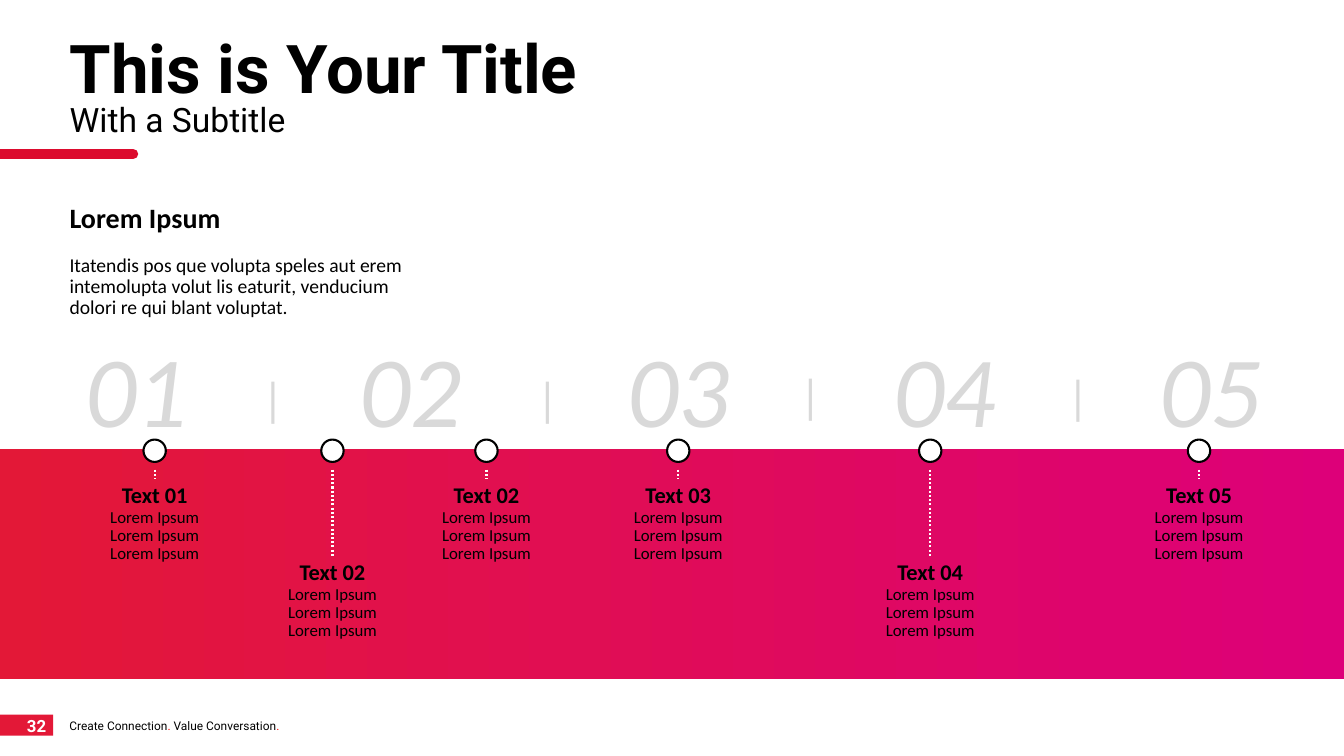
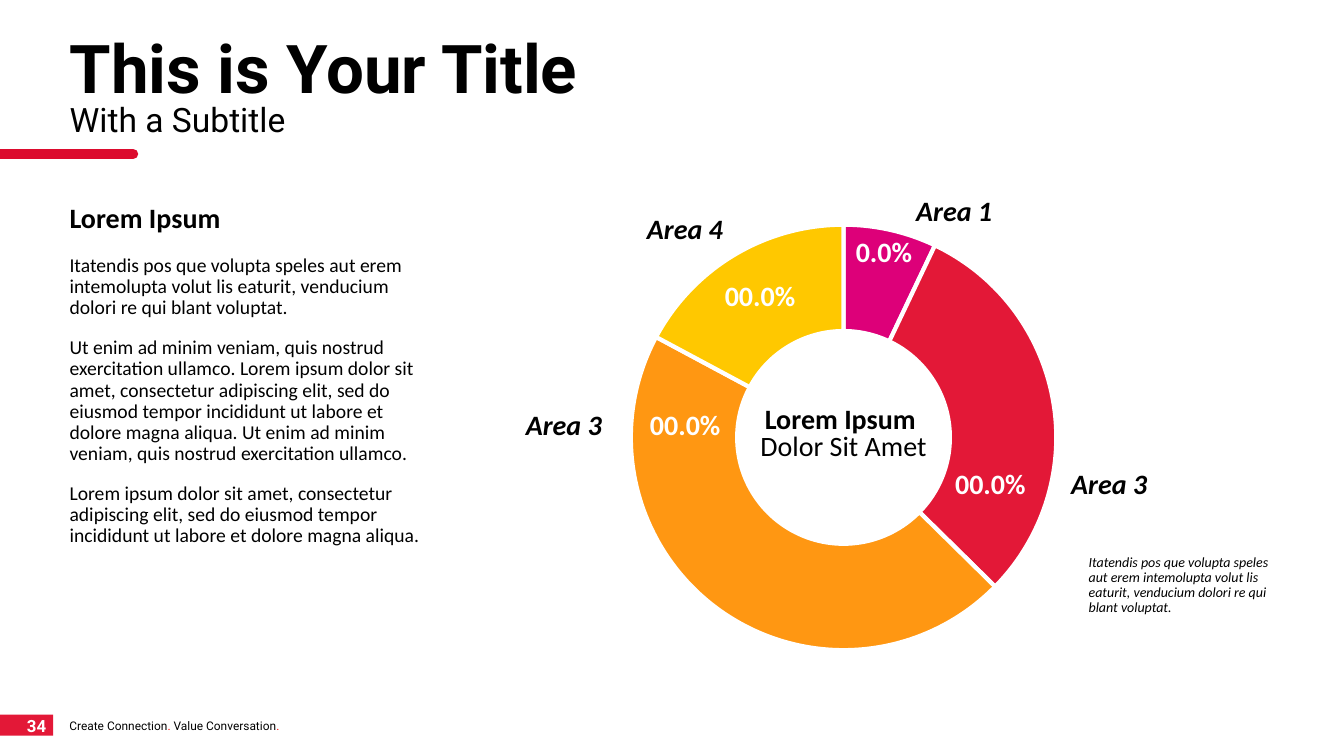
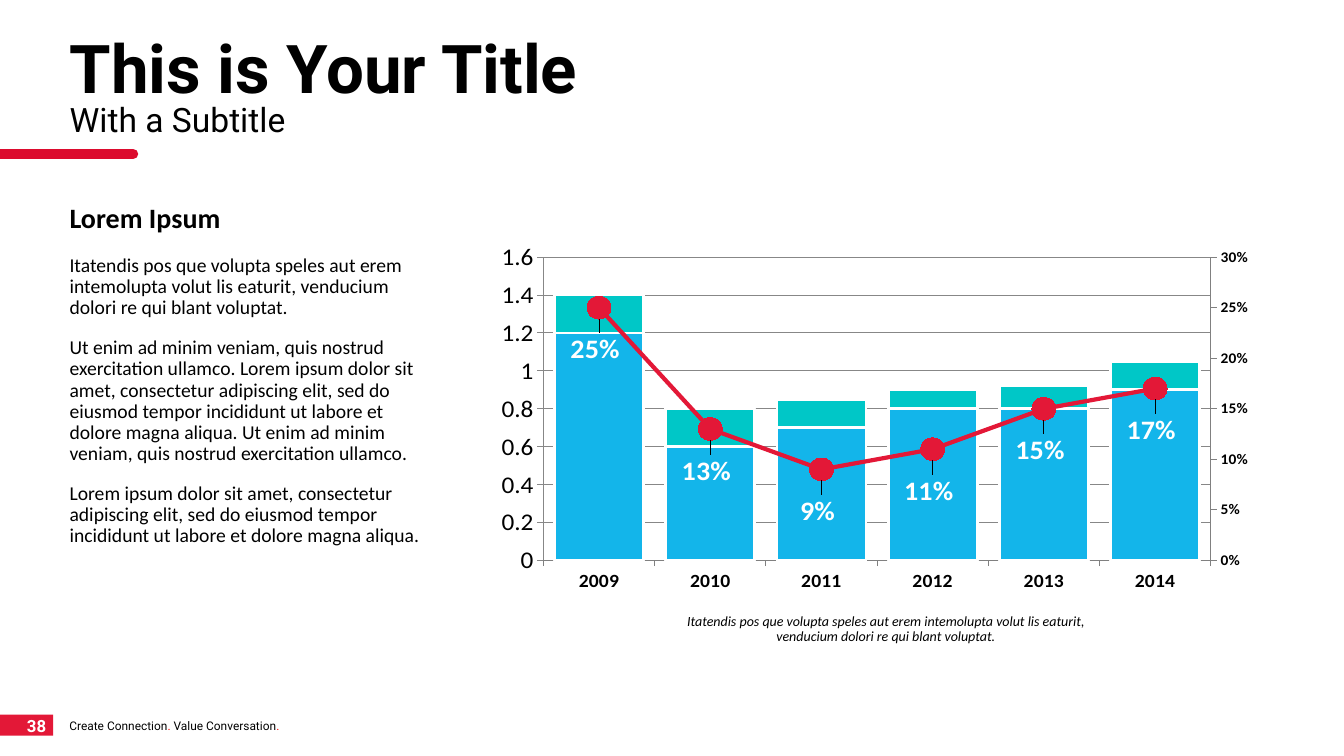
from dataclasses import dataclass
from itertools import pairwise

from pptx import Presentation
from pptx.chart import axis as ax
from pptx.chart import data as cd
from pptx.dml.color import RGBColor
from pptx.enum import chart as ch, dml, shapes, text
from pptx.oxml import ns, parse_xml
from pptx.util import Pt

# Colours
BLACK = RGBColor(0x00, 0x00, 0x00)
WHITE = RGBColor(0xFF, 0xFF, 0xFF)
RED = RGBColor(0xE3, 0x18, 0x37)
RULE_RED = RGBColor(0xDC, 0x0B, 0x2E)
DOT_RED = RGBColor(0xFF, 0x00, 0x00)
MAGENTA = RGBColor(0xDD, 0x00, 0x79)
ORANGE = RGBColor(0xFF, 0x97, 0x12)
YELLOW = RGBColor(0xFF, 0xC8, 0x00)
BLUE = RGBColor(0x13, 0xB5, 0xEA)
TEAL = RGBColor(0x00, 0xC7, 0xC7)
LIGHT = RGBColor(0xD9, 0xD9, 0xD9)
GREY = RGBColor(0x80, 0x80, 0x80)

LEFT, CENTER, RIGHT = text.PP_ALIGN.LEFT, text.PP_ALIGN.CENTER, text.PP_ALIGN.RIGHT
LABEL_INSETS = (0, 0, 7.2, 3.6)

INTRO = ("Itatendis pos que volupta speles aut erem intemolupta volut lis "
         "eaturit, venducium dolori re qui blant voluptat.")
DETAILS = (
    "Ut enim ad minim veniam, quis nostrud exercitation ullamco. Lorem ipsum "
    "dolor sit amet, consectetur adipiscing elit, sed do eiusmod tempor "
    "incididunt ut labore et dolore magna aliqua. Ut enim ad minim veniam, "
    "quis nostrud exercitation ullamco.",
    "Lorem ipsum dolor sit amet, consectetur adipiscing elit, sed do eiusmod "
    "tempor incididunt ut labore et dolore magna aliqua.",
)


@dataclass(frozen=True)
class Style:
    size: float
    color: RGBColor = BLACK
    bold: bool = False
    italic: bool = False
    font: str = "Calibri"


HEADING = Style(20, bold=True)
NOTE = Style(10, italic=True)
AREA = Style(20, bold=True, italic=True)
SHARE = Style(20, WHITE, bold=True)


# Text
def set_font(font, style):
    font.name, font.size = style.font, Pt(style.size)
    font.bold, font.italic = style.bold, style.italic
    font.color.rgb = style.color


def add_run(p, words, style):
    r = p.add_run()
    r.text = words
    set_font(r.font, style)


def write(tf, paragraphs, align=LEFT, spacing=0.9, gaps=(), insets=(7.2, 3.6, 7.2, 3.6)):
    """Each paragraph is a list of (words, style) runs."""
    tf.word_wrap = True
    tf.vertical_anchor = text.MSO_ANCHOR.TOP
    tf.margin_left, tf.margin_top, tf.margin_right, tf.margin_bottom = map(Pt, insets)
    for i, runs in enumerate(paragraphs):
        p = tf.add_paragraph() if i else tf.paragraphs[0]
        p.alignment, p.line_spacing = align, spacing
        p.space_before = Pt(gaps[i] if gaps else 0)
        for words, style in runs:
            add_run(p, words, style)


def add_text(s, box, paragraphs, **options):
    sp = s.shapes.add_textbox(*map(Pt, box))
    write(sp.text_frame, paragraphs, **options)
    return sp


# Shapes
def place(sp, box):
    sp.left, sp.top, sp.width, sp.height = map(Pt, box)


def add_preset(s, kind, box, fill=None):
    sp = s.shapes.add_shape(kind, *map(Pt, box))
    sp.shadow.inherit = False
    sp.line.fill.background()
    if fill is not None:
        sp.fill.solid()
        sp.fill.fore_color.rgb = fill
    return sp


def add_line(s, start, end, color, width, dash=None, cap=None):
    line = s.shapes.add_connector(shapes.MSO_CONNECTOR.STRAIGHT, *map(Pt, start + end))
    line.line.color.rgb, line.line.width = color, Pt(width)
    if dash:
        line.line.dash_style = dash
    sp_pr = line.element.spPr
    if cap:
        sp_pr.find(ns.qn("a:ln")).set("cap", cap)
    sp_pr.append(parse_xml(f"<a:effectLst {ns.nsdecls('a')}/>"))
    return line


# Shared frame
def prepare_layout(layout, s):
    """Put the page tab, tagline and title rule on the layout."""
    for ph in list(layout.placeholders):
        if ph.placeholder_format.idx >= 10:
            ph.element.getparent().remove(ph.element)
    place(layout.placeholders[0], (42.5, 23, 894, 91))
    place(layout.placeholders[1], (42.5, 142, 274, 254))
    small = Style(8.5, font="Roboto")
    red_dot = (".", Style(8.5, DOT_RED, font="Roboto"))
    tagline = [("Create Connection", small), red_dot, (" Value Conversation", small), red_dot]
    for sp in (
        add_preset(s, shapes.MSO_SHAPE.RECTANGLE, (0, 510.5, 38, 15), RED),
        add_text(s, (42.5, 511, 180, 18), [tagline]),
        add_line(s, (0, 110), (95, 110), RULE_RED, 7.5, cap="rnd"),
    ):
        layout.shapes.element.append(sp.element)


def fill_frame(s, page, details=()):
    """Title, left-hand text and page number."""
    title, body = s.placeholders[0], s.placeholders[1]
    tf = title.text_frame
    tf.auto_size = text.MSO_AUTO_SIZE.NONE
    write(tf, [[("This is Your Title", Style(48, bold=True, font="Roboto"))]],
          spacing=0.8, insets=(7.2, 7.2, 7.2, 3.6))
    p = tf.paragraphs[0]
    p.add_line_break()
    add_run(p, "With a Subtitle", Style(24, font="Roboto"))

    place(body, (42.5, 142, 274, 254 if details else 90))
    tf = body.text_frame
    tf.auto_size = text.MSO_AUTO_SIZE.SHAPE_TO_FIT_TEXT
    copy_text = [[(words, Style(14))] for words in (INTRO, *details)]
    write(tf, [[("Lorem Ipsum", HEADING)]] + copy_text, gaps=(0, 15.4, 13.3, 13.3))
    for p in tf.paragraphs:
        p_pr = p._p.get_or_add_pPr()
        p_pr.set("marL", "0")
        p_pr.set("indent", "0")
        p_pr.append(parse_xml(f"<a:buNone {ns.nsdecls('a')}/>"))

    add_text(s, (3.6, 509, 36.5, 20),
             [[(str(page), Style(12, WHITE, bold=True, font="Roboto"))]], align=RIGHT)


# Timeline
def add_milestone(s, x, label, top):
    dot = add_preset(s, shapes.MSO_SHAPE.OVAL, (x - 8, 314, 16, 16), WHITE)
    dot.line.color.rgb, dot.line.width = BLACK, Pt(1.5)
    add_line(s, (x, 335.5), (x, top), WHITE, 1.5, dash=dml.MSO_LINE.ROUND_DOT)
    lines = [[(label, Style(16, bold=True))]] + [[("Lorem Ipsum", Style(12))]] * 3
    add_text(s, (x - 67, top, 134, 65), lines, align=CENTER)


def build_timeline(s):
    band = add_preset(s, shapes.MSO_SHAPE.RECTANGLE, (0, 321, 960, 164))
    band.fill.gradient()
    band.fill.gradient_angle = 0
    for stop, color in zip(band.fill.gradient_stops, (RED, MAGENTA)):
        stop.color.rgb = color

    edges = (0, 195, 391, 579, 770, 960)
    for i, (left, right) in enumerate(pairwise(edges), 1):
        add_text(s, (left, 239.5, right - left, 65),
                 [[(f"{i:02}", Style(72, LIGHT, italic=True))]], align=CENTER)
    for x, top in zip(edges[1:-1], (266.5, 266.5, 264.5, 265)):
        add_text(s, (x - 28.5, top, 57, 47.5),
                 [[("|", Style(32, LIGHT, font="Lato"))]], align=CENTER)

    high, low = 342.5, 397.5
    for x, label, top in (
        (110.5, "Text 01", high), (237.5, "Text 02", low), (347.5, "Text 02", high),
        (484.5, "Text 03", high), (664.5, "Text 04", low), (856.5, "Text 05", high),
    ):
        add_milestone(s, x, label, top)


# Charts
def add_chart(s, kind, box, data):
    chart = s.shapes.add_chart(kind, *map(Pt, box), data).chart
    chart.has_legend = chart.has_title = False
    set_font(chart.font, Style(18))
    area = chart.element.find(".//" + ns.qn("c:plotArea"))
    for old in area.findall(ns.qn("c:layout")):
        area.remove(old)
    area.insert(0, parse_xml(
        f"<c:layout {ns.nsdecls('c')}><c:manualLayout>"
        '<c:layoutTarget val="inner"/><c:xMode val="edge"/><c:yMode val="edge"/>'
        '<c:x val="0.071"/><c:y val="0.045"/><c:w val="0.852"/><c:h val="0.91"/>'
        "</c:manualLayout></c:layout>"))
    return chart


def build_doughnut(s):
    data = cd.CategoryChartData()
    data.categories = ["1", "2", "3", "4"]
    data.add_series("Series 1", (7, 30, 45, 17))
    chart = add_chart(s, ch.XL_CHART_TYPE.DOUGHNUT, (366, 145.5, 476, 334), data)
    for i, color in enumerate((MAGENTA, RED, ORANGE, YELLOW)):
        fmt = chart.plots[0].series[0].points[i].format
        fmt.fill.solid()
        fmt.fill.fore_color.rgb = color
        fmt.line.color.rgb, fmt.line.width = WHITE, Pt(3)

    for left, top, width, words, style, align in (
        (654.5, 141, 158, "Area 1", AREA, LEFT),
        (728, 336, 98.5, "Area 3", AREA, RIGHT),
        (338.5, 293.5, 98.5, "Area 3", AREA, RIGHT),
        (425, 154, 98.5, "Area 4", AREA, RIGHT),
        (602, 170.5, 66, "0.0%", SHARE, CENTER),
        (677.5, 336, 67, "00.0%", SHARE, CENTER),
        (458, 293.5, 70, "00.0%", SHARE, CENTER),
        (513.5, 201.5, 66, "00.0%", SHARE, CENTER),
    ):
        add_text(s, (left, top, width, 25), [[(words, style)]],
                 align=align, insets=LABEL_INSETS)
    add_text(s, (530, 291.5, 145, 28),
             [[("Lorem Ipsum ", HEADING)], [("Dolor Sit Amet", Style(20))]],
             align=CENTER, spacing=0.8, insets=(0, 0, 0, 0))
    add_text(s, (770.5, 393, 157, 51), [[(INTRO, NOTE)]])


def move_to_line(chart):
    """Draw the last series as a line on a second value axis."""
    bars = chart.element.find(".//" + ns.qn("c:barChart"))
    ser = bars.findall(ns.qn("c:ser"))[-1]
    for flag in ser.findall(ns.qn("c:invertIfNegative")):
        ser.remove(flag)
    c = ns.nsdecls("c")
    line = parse_xml(
        f'<c:lineChart {c}><c:grouping val="standard"/><c:varyColors val="0"/>'
        '<c:marker val="1"/><c:axId val="5001"/><c:axId val="5002"/></c:lineChart>')
    line.insert(2, ser)
    bars.addnext(line)
    scaling = '<c:scaling><c:orientation val="minMax"/></c:scaling>'
    hidden = parse_xml(
        f'<c:catAx {c}><c:axId val="5001"/>{scaling}<c:delete val="1"/>'
        '<c:axPos val="b"/><c:crossAx val="5002"/><c:crosses val="autoZero"/></c:catAx>')
    right = parse_xml(
        f'<c:valAx {c}><c:axId val="5002"/>{scaling}<c:delete val="0"/>'
        '<c:axPos val="r"/><c:majorTickMark val="out"/><c:minorTickMark val="none"/>'
        '<c:tickLblPos val="nextTo"/><c:crossAx val="5001"/><c:crosses val="max"/>'
        '<c:crossBetween val="between"/></c:valAx>')
    chart.value_axis._element.addnext(hidden)
    hidden.addnext(right)
    return ax.ValueAxis(right)


def style_axis(axis, size):
    axis.major_tick_mark = ch.XL_TICK_MARK.OUTSIDE
    axis.format.line.color.rgb, axis.format.line.width = GREY, Pt(0.75)
    set_font(axis.tick_labels.font, Style(size, bold=True))


def style_value_axis(axis, top, step, number_format):
    style_axis(axis, 11)
    axis.minimum_scale, axis.maximum_scale, axis.major_unit = 0, top, step
    axis.tick_labels.number_format = number_format
    axis.tick_labels.number_format_is_linked = False


def build_combo(s):
    data = cd.CategoryChartData()
    data.categories = [str(year) for year in range(2009, 2015)]
    data.add_series("Series 1", (1.2, 0.6, 0.7, 0.8, 0.8, 0.9))
    data.add_series("Series 2", (0.2, 0.2, 0.15, 0.1, 0.12, 0.15))
    data.add_series("Series 3", (0.25, 0.13, 0.09, 0.11, 0.15, 0.17), number_format="0%")
    chart = add_chart(s, ch.XL_CHART_TYPE.COLUMN_STACKED, (348.5, 173, 559.5, 250.5), data)
    right_axis = move_to_line(chart)
    bars, lines = chart.plots

    # Axes
    style_axis(chart.category_axis, 14)
    dollars = r'_("$"* #,##0.00_);_("$"* \(#,##0.00\);_("$"* "-"??_);_(@_)'
    style_value_axis(chart.value_axis, 1.6, 0.2, dollars)
    style_value_axis(right_axis, 0.3, 0.05, "0%")
    grid = chart.value_axis.major_gridlines.format.line
    grid.color.rgb, grid.width = LIGHT, Pt(0.75)
    grid.dash_style = dml.MSO_LINE.DASH

    # Columns
    bars.gap_width, bars.overlap, bars.vary_by_categories = 25, 100, False
    for series, color in zip(bars.series, (BLUE, TEAL)):
        series.format.fill.solid()
        series.format.fill.fore_color.rgb = color
        series.format.line.color.rgb, series.format.line.width = WHITE, Pt(2)

    # Line with labels set a little below its markers
    series = lines.series[0]
    series.smooth = False
    series.format.line.color.rgb, series.format.line.width = RED, Pt(3)
    marker = series.marker
    marker.style, marker.size = ch.XL_MARKER_STYLE.CIRCLE, 17
    marker.format.fill.solid()
    marker.format.fill.fore_color.rgb = BLACK
    marker.format.line.color.rgb = BLACK
    for i in range(len(series.values)):
        label = series.points[i].data_label
        set_font(label.font, SHARE)
        label.position = ch.XL_LABEL_POSITION.BELOW
    for label in chart.element.iter(ns.qn("c:dLbl")):
        label.insert(1, parse_xml(
            f"<c:layout {ns.nsdecls('c')}><c:manualLayout>"
            '<c:x val="-0.005"/><c:y val="0.03"/></c:manualLayout></c:layout>'))

    add_text(s, (462, 435.5, 341.5, 29), [[(INTRO, NOTE)]], align=CENTER)


def main():
    prs = Presentation()
    prs.slide_width, prs.slide_height = Pt(960), Pt(540)
    layout = prs.slide_layouts[1]
    pages = (
        (32, (), build_timeline),
        (34, DETAILS, build_doughnut),
        (38, DETAILS, build_combo),
    )
    for i, (page, details, build) in enumerate(pages):
        s = prs.slides.add_slide(layout)
        if i == 0:
            prepare_layout(layout, s)
        fill_frame(s, page, details)
        build(s)
    prs.save("out.pptx")


if __name__ == "__main__":
    main()
